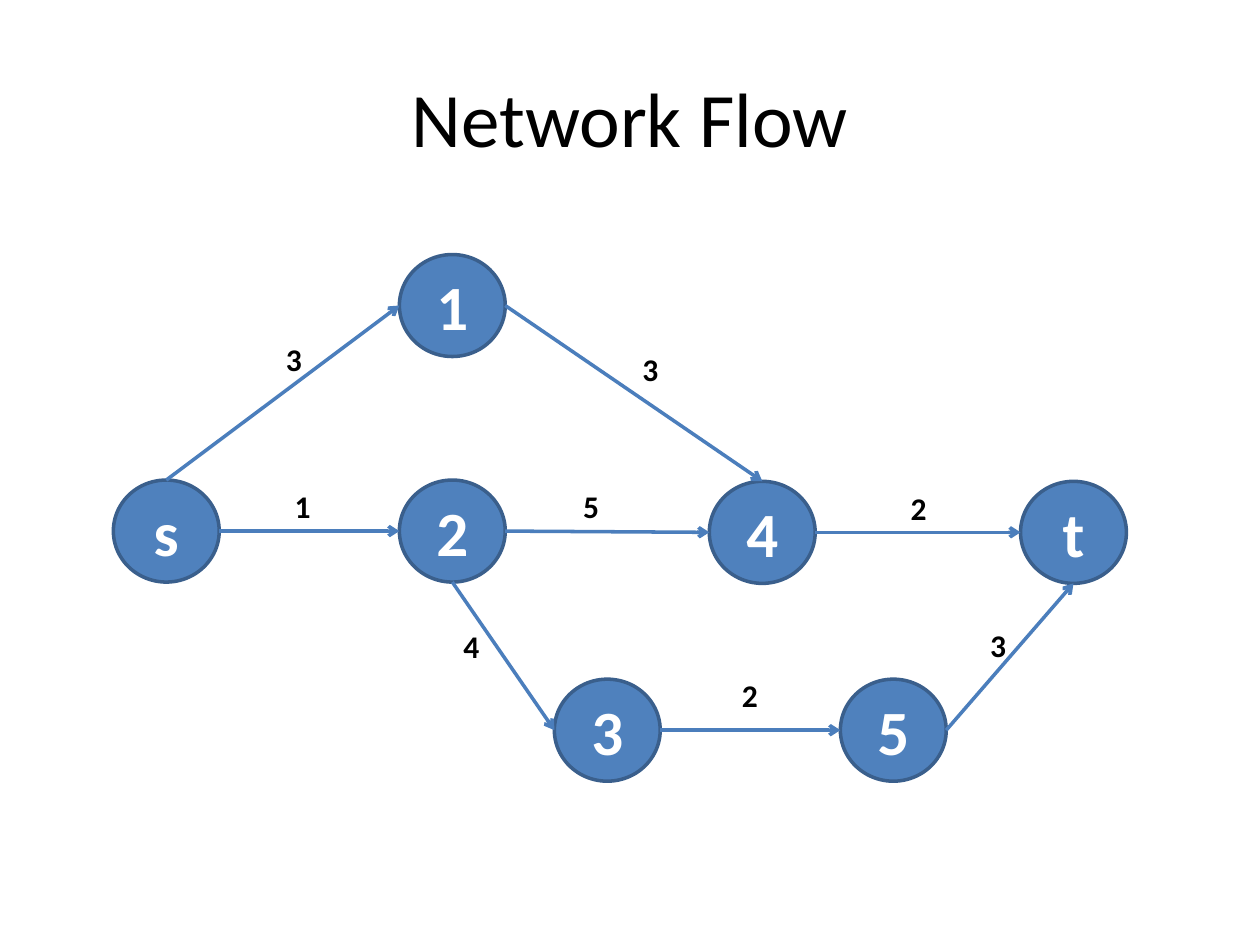
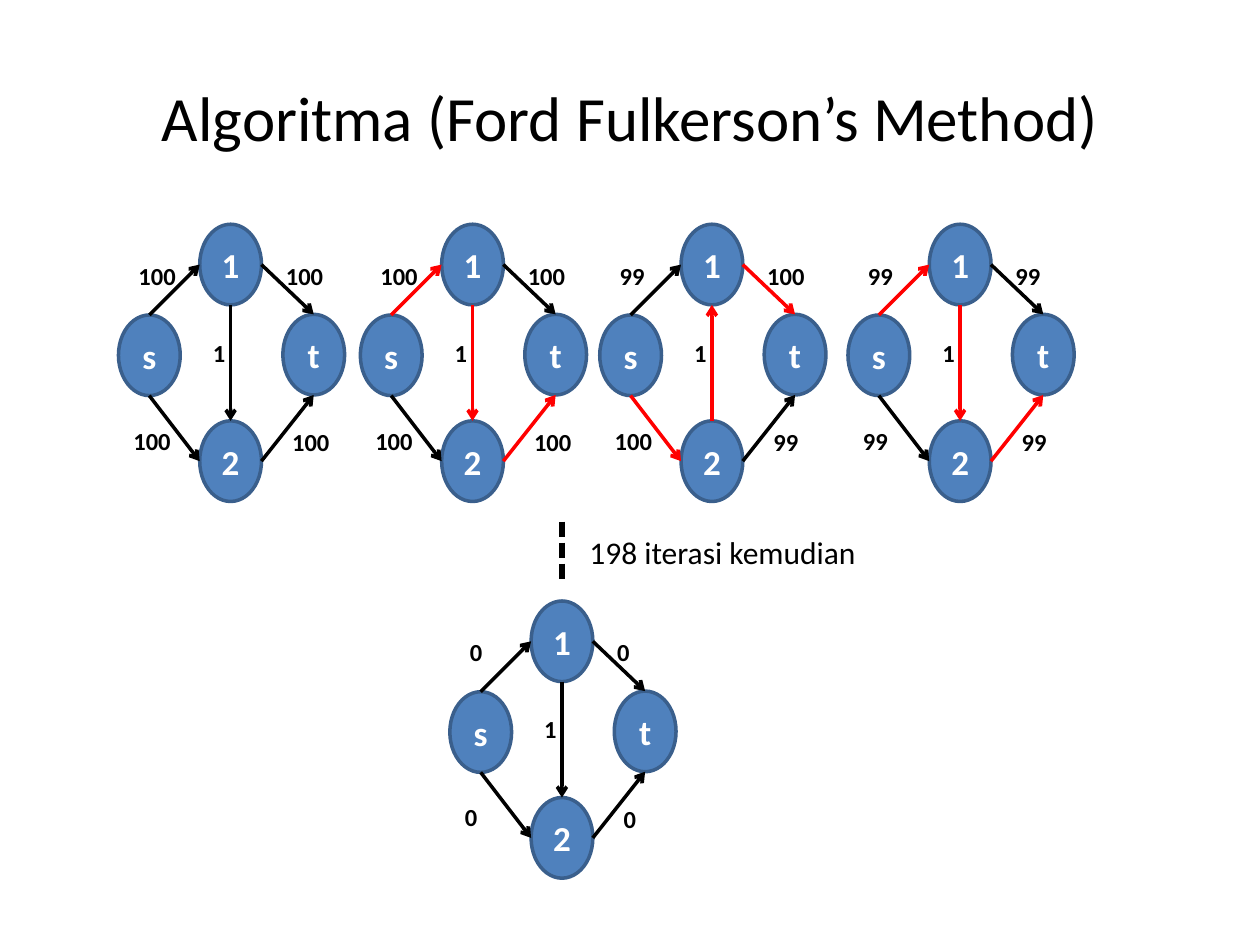
import pptx
import pptx.util
import pptx.dml.color
import pptx.enum.dml
import pptx.enum.shapes
import pptx.enum.text
import pptx.oxml
import pptx.oxml.ns

RGBColor = pptx.dml.color.RGBColor
ALIGN = pptx.enum.text.PP_ALIGN
MIDDLE = pptx.enum.text.MSO_ANCHOR.MIDDLE

NODE_BLUE = RGBColor(0x4F, 0x81, 0xBD)
NODE_RIM = RGBColor(0x3A, 0x5F, 0x8C)
EDGE_BLUE = RGBColor(0x4B, 0x7E, 0xBC)
PATH_RED = RGBColor(0xFF, 0x00, 0x00)
BLACK = RGBColor(0x00, 0x00, 0x00)
WHITE = RGBColor(0xFF, 0xFF, 0xFF)
FONT = "Calibri"

# The slide is a grid of 100 columns by 75 rows
COLUMNS, ROWS = 100, 75
CELL = pptx.util.Inches(0.1)

# Where an edge meets a node, as shares of the node's size
SIDES = {"top": (0.5, 0), "left": (0, 0.5), "bottom": (0.5, 1), "right": (1, 0.5)}

# Slide 1: node places, then edges with capacity and label place
FLOW_NODES = {
    "s": (9, 38.1), "2": (31.7, 38.1), "4": (56.3, 38.2), "t": (81, 38.2),
    "1": (31.7, 20.2), "3": (44, 53.9), "5": (66.7, 53.9),
}
FLOW_EDGES = [
    ("s", "right", "2", "left", "1", (22.4, 38.2)),
    ("s", "top", "1", "left", "3", (21.7, 26.5)),
    ("2", "right", "4", "left", "5", (45.3, 38.2)),
    ("4", "right", "t", "left", "2", (71.3, 38.3)),
    ("1", "right", "4", "top", "3", (50, 27.3)),
    ("2", "bottom", "3", "left", "4", (35.8, 49.3)),
    ("3", "right", "5", "left", "2", (57.9, 53.2)),
    ("5", "right", "t", "bottom", "3", (77.6, 49.2)),
]

# Slide 2: one small network, measured from its own top left corner
STEP_NODES = {"s": (0, 7.2), "2": (6.45, 15.6), "t": (13.05, 7.15), "1": (6.45, 0)}
STEP_EDGES = [
    ("1", "bottom", "2", "top", (6.5, 8.5)),
    ("s", "bottom", "2", "left", (0.2, 15.5)),
    ("s", "top", "1", "left", (0.6, 2.4)),
    ("2", "right", "t", "bottom", (12.8, 15.6)),
    ("1", "right", "t", "top", (12.3, 2.4)),
]
# Corner, capacities in the order of STEP_EDGES, marked edges, middle edge reversed
STEPS = [
    ((9.4, 17.8), ("1", "100", "100", "100", "100"), (), False),
    ((28.6, 17.8), ("1", "100", "100", "100", "100"), (0, 2, 3), False),
    ((47.6, 17.8), ("1", "100", "99", "99", "100"), (0, 1, 4), True),
    ((67.3, 17.8), ("1", "99", "99", "99", "99"), (0, 2, 3), False),
    ((35.7, 47.7), ("1", "0", "0", "0", "0"), (), False),
]


def grid(*cells):
    return [round(cell * CELL) for cell in cells]


def write_text(frame, text, size, color=BLACK, bold=False, align=ALIGN.LEFT, anchor=None):
    frame.text = text
    if anchor is not None:
        frame.vertical_anchor = anchor
    paragraph = frame.paragraphs[0]
    paragraph.alignment = align
    font = paragraph.runs[0].font
    font.name, font.size, font.bold = FONT, pptx.util.Pt(size), bold
    font.color.rgb = color


def add_titled_slide(deck, heading, size):
    slide = deck.slides.add_slide(deck.slide_layouts[5])
    title = slide.shapes.title
    title.left, title.top, title.width, title.height = grid(5, 3, 90, 12.5)
    write_text(title.text_frame, heading, size, align=ALIGN.CENTER, anchor=MIDDLE)
    return slide


def add_node(shapes, name, place, extent, size):
    node = shapes.add_shape(pptx.enum.shapes.MSO_SHAPE.OVAL, *grid(*place, *extent))
    node.shadow.inherit = False
    node.fill.solid()
    node.fill.fore_color.rgb = NODE_BLUE
    node.line.color.rgb = NODE_RIM
    node.line.width = pptx.util.Pt(2)
    node.text_frame.word_wrap = False
    write_text(node.text_frame, name, size, color=WHITE, bold=True,
               align=ALIGN.CENTER, anchor=MIDDLE)


def add_line(shapes, start, end, color, width=2, arrow=True, dash=None):
    line = shapes.add_connector(pptx.enum.shapes.MSO_CONNECTOR.STRAIGHT,
                                *grid(*start, *end))
    line.line.color.rgb = color
    line.line.width = pptx.util.Pt(width)
    if dash is not None:
        line.line.dash_style = dash
    if arrow:
        tail = pptx.oxml.parse_xml(
            f'<a:tailEnd {pptx.oxml.ns.nsdecls("a")} type="arrow"/>')
        line.line._get_or_add_ln().append(tail)
    no_shadow = pptx.oxml.parse_xml(f'<a:effectLst {pptx.oxml.ns.nsdecls("a")}/>')
    line._element.spPr.append(no_shadow)


def add_label(shapes, text, place, extent, size, bold=True):
    label = shapes.add_textbox(*grid(*place, *extent))
    label.text_frame.word_wrap = True
    label.text_frame.auto_size = pptx.enum.text.MSO_AUTO_SIZE.SHAPE_TO_FIT_TEXT
    write_text(label.text_frame, text, size, bold=bold)


def add_network(slide, nodes, edges, extent, node_size, label_extent, label_size,
                corner=(0, 0)):
    shapes = slide.shapes.add_group_shape().shapes

    def shifted(place):
        return corner[0] + place[0], corner[1] + place[1]

    def meeting_point(name, side):
        left, top = shifted(nodes[name])
        across, down = SIDES[side]
        return left + across * extent[0], top + down * extent[1]

    for name, place in nodes.items():
        add_node(shapes, name, shifted(place), extent, node_size)
    for origin, leave, target, enter, capacity, place, color in edges:
        add_line(shapes, meeting_point(origin, leave), meeting_point(target, enter), color)
        add_label(shapes, capacity, shifted(place), label_extent, label_size)


def step_edges(capacities, marked, middle_reversed):
    edges = []
    for index, (origin, leave, target, enter, place) in enumerate(STEP_EDGES):
        if index == 0 and middle_reversed:
            origin, leave, target, enter = target, enter, origin, leave
        color = PATH_RED if index in marked else BLACK
        edges.append((origin, leave, target, enter, capacities[index], place, color))
    return edges


def main():
    deck = pptx.Presentation()
    deck.slide_width, deck.slide_height = grid(COLUMNS, ROWS)

    # Network with capacities
    flow = add_titled_slide(deck, "Network Flow", 44)
    flow_edges = [(*edge, EDGE_BLUE) for edge in FLOW_EDGES]
    add_network(flow, FLOW_NODES, flow_edges, (8.4, 8.1), 36, (4.7, 4), 18)

    # Iterations of the method
    method = add_titled_slide(deck, "Algoritma (Ford Fulkerson’s Method)", 36)
    for corner, capacities, marked, middle_reversed in STEPS:
        add_network(method, STEP_NODES, step_edges(capacities, marked, middle_reversed),
                    (4.9, 6.4), 20, (6.1, 3.4), 14, corner)

    # Skipped iterations
    add_line(method.shapes, (44.6, 41.4), (44.6, 46.2), BLACK, width=3, arrow=False,
             dash=pptx.enum.dml.MSO_LINE.SQUARE_DOT)
    add_label(method.shapes, "198 iterasi kemudian", (45.8, 41.8), (40.4, 4), 18, bold=False)

    deck.save("out.pptx")


if __name__ == "__main__":
    main()
